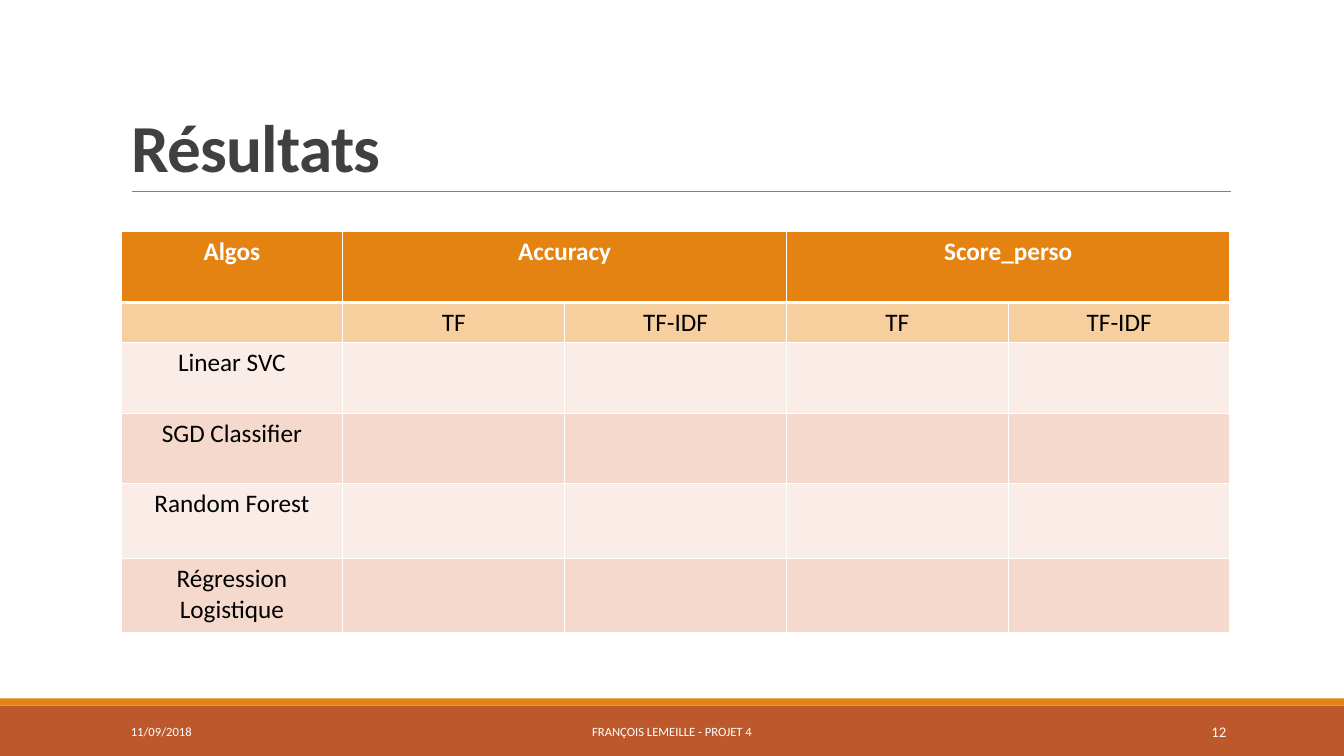
"""Build the results slide with its score table."""
from dataclasses import dataclass

from lxml import etree
from pptx import Presentation
from pptx import util as u
from pptx.dml.color import RGBColor
from pptx.enum import shapes, text
from pptx.oxml.ns import qn


@dataclass(frozen=True)
class Theme:
    """Colours, font and type sizes of the slide."""
    font: str = "Calibri"
    white: str = "FFFFFF"
    black: str = "000000"
    title: str = "404040"
    rule: str = "808080"
    accent: str = "E48312"
    footer: str = "BD582C"
    subhead: str = "F7CE9D"
    bands: tuple = ("FAEDE7", "F5D9CC")
    title_size: float = 48
    table_size: float = 18
    footer_size: float = 9
    number_size: float = 10.5


class Deck:
    """Hold the theme and current slide, and draw each kind of element."""

    def __init__(self, prs, theme):
        """Add a title-only slide to the presentation."""
        self.theme = theme
        self.s = prs.slides.add_slide(prs.slide_layouts[5])

    def run(self, p, words, size, color, bold=False):
        """Add one formatted run to a paragraph."""
        r = p.add_run()
        r.text = words
        r.font.name = self.theme.font
        r.font.size = u.Pt(size)
        r.font.bold = bold
        r.font.color.rgb = RGBColor.from_string(color)
        return r

    def bar(self, top, height, color):
        """Draw a full-width plain rectangle."""
        sp = self.s.shapes.add_shape(shapes.MSO_SHAPE.RECTANGLE, 0, u.Inches(top),
                                     u.Inches(13.33), u.Inches(height))
        sp.shadow.inherit = False
        sp.fill.solid()
        sp.fill.fore_color.rgb = RGBColor.from_string(color)
        sp.line.fill.background()

    def rule(self, left, right, y):
        """Draw a thin horizontal line."""
        sp = self.s.shapes.add_connector(shapes.MSO_CONNECTOR.STRAIGHT, u.Inches(left),
                                         u.Inches(y), u.Inches(right), u.Inches(y))
        sp.line.color.rgb = RGBColor.from_string(self.theme.rule)
        sp.line.width = u.Pt(0.5)
        etree.SubElement(sp._element.spPr, qn("a:effectLst"))

    def title(self, words, left, top, width, height):
        """Place and fill the title placeholder."""
        sp = self.s.shapes.title
        sp.left, sp.top = u.Inches(left), u.Inches(top)
        sp.width, sp.height = u.Inches(width), u.Inches(height)
        tf = sp.text_frame
        tf.auto_size = text.MSO_AUTO_SIZE.NONE
        tf.vertical_anchor = text.MSO_ANCHOR.BOTTOM
        p = tf.paragraphs[0]
        p.alignment = text.PP_ALIGN.LEFT
        p.line_spacing = 0.85
        r = self.run(p, words, self.theme.title_size, self.theme.title, True)
        r.font._element.set("spc", "-50")

    def footer(self, words, left, width, align, size):
        """Add one text box in the footer bar."""
        sp = self.s.shapes.add_textbox(u.Inches(left), u.Inches(7.06),
                                       u.Inches(width), u.Inches(0.4))
        tf = sp.text_frame
        tf.word_wrap = True
        tf.vertical_anchor = text.MSO_ANCHOR.MIDDLE
        p = tf.paragraphs[0]
        p.alignment = align
        self.run(p, words, size, self.theme.white)

    def borders(self, cell, top, bottom):
        """Give a cell white borders, with the top and bottom widths in points."""
        tcPr = cell._tc.get_or_add_tcPr()
        for side, width in (("L", 1), ("R", 1), ("T", top), ("B", bottom)):
            ln = etree.SubElement(tcPr, qn(f"a:ln{side}"), w=str(u.Pt(width)))
            fill = etree.SubElement(ln, qn("a:solidFill"))
            etree.SubElement(fill, qn("a:srgbClr"), val=self.theme.white)

    def table(self, rows, heights, left, top, width, merges):
        """Add the table with a header, a subheader and banded rows."""
        t = self.theme
        n_cols = len(rows[0])
        table = self.s.shapes.add_table(len(rows), n_cols, u.Inches(left), u.Inches(top),
                                        u.Inches(width), u.Inches(sum(heights))).table
        for col in table.columns:
            col.width = u.Inches(width / n_cols)
        fills = [t.accent, t.subhead] + [t.bands[i % 2] for i in range(len(rows) - 2)]
        for i, (row, height, fill) in enumerate(zip(rows, heights, fills)):
            table.rows[i].height = u.Inches(height)
            for j, words in enumerate(row):
                cell = table.cell(i, j)
                self.borders(cell, 3 if i == 1 else 1, 3 if i == 0 else 1)
                cell.fill.solid()
                cell.fill.fore_color.rgb = RGBColor.from_string(fill)
                p = cell.text_frame.paragraphs[0]
                p.alignment = text.PP_ALIGN.CENTER
                p.font.size = u.Pt(t.table_size)
                if words:
                    self.run(p, words, t.table_size, t.black if i else t.white, i == 0)
        for first, last in merges:
            table.cell(0, first).merge(table.cell(0, last))


def main():
    """Build and save the slide."""
    prs = Presentation()
    prs.slide_width, prs.slide_height = u.Inches(13.33), u.Inches(7.5)
    theme = Theme()
    deck = Deck(prs, theme)
    deck.bar(7, 0.5, theme.footer)
    deck.bar(6.93, 0.07, theme.accent)
    deck.rule(1.31, 12.21, 1.9)
    deck.title("Résultats", 1.2, 0.31, 11, 1.59)

    align = text.PP_ALIGN
    deck.footer("11/09/2018", 1.2, 2.7, align.LEFT, theme.footer_size)
    deck.footer("FRANÇOIS LEMEILLE - PROJET 4", 4.03, 5.27, align.CENTER, theme.footer_size)
    deck.footer("12", 10.83, 1.43, align.RIGHT, theme.number_size)

    algos = ["Linear SVC", "SGD Classifier", "Random Forest", "Régression Logistique"]
    rows = [["Algos", "Accuracy", "", "Score_perso", ""],
            [""] + ["TF", "TF-IDF"] * 2]
    rows += [[algo] + [""] * 4 for algo in algos]
    deck.table(rows, [0.7, 0.4, 0.7, 0.7, 0.74, 0.74], 1.2, 2.3, 11, [(1, 2), (3, 4)])
    prs.save("out.pptx")


main()
